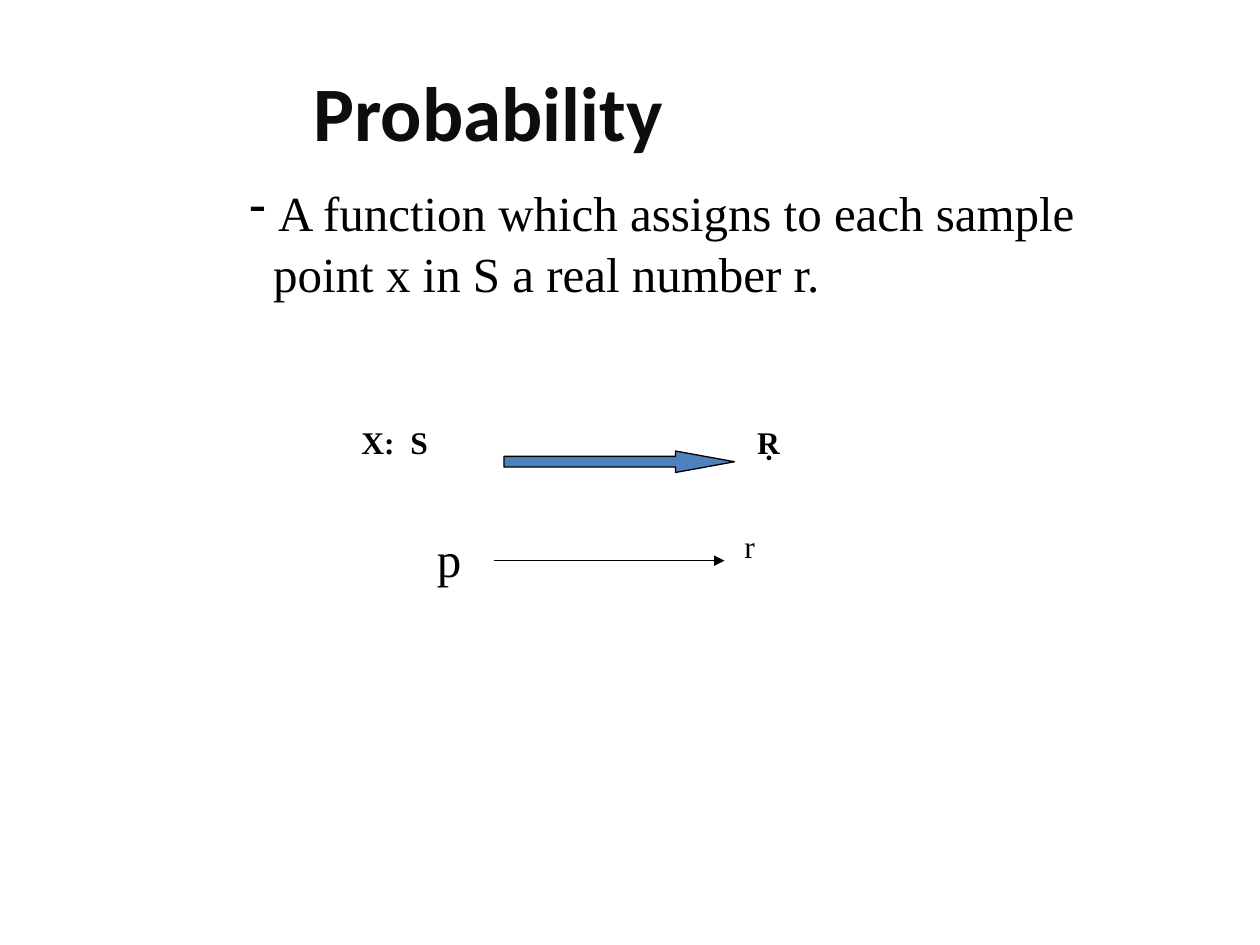
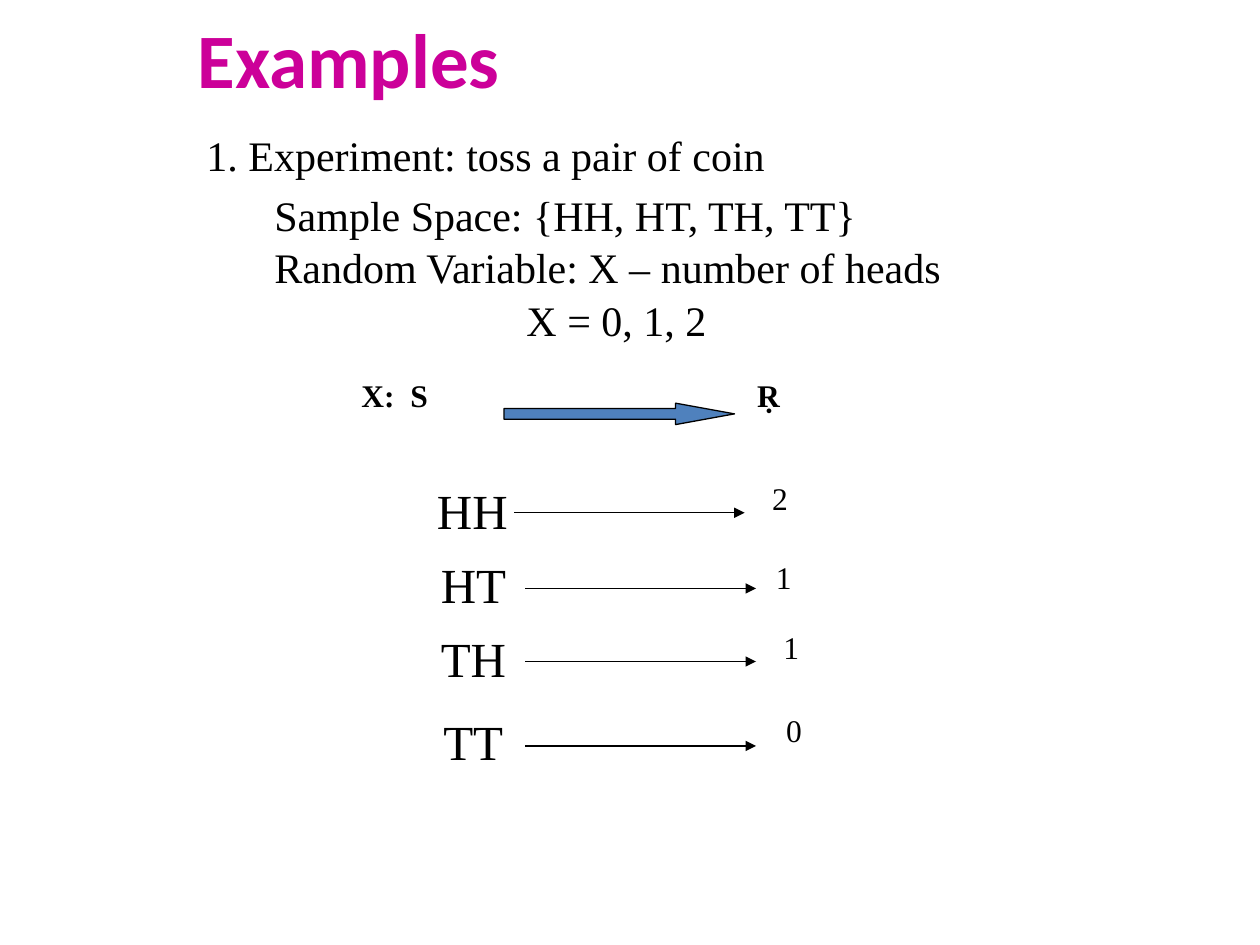
"""Build two slides on random variables as mappings from samples to numbers."""
from dataclasses import dataclass
from lxml import etree
from pptx import Presentation
from pptx.dml.color import RGBColor
from pptx.enum.shapes import MSO_CONNECTOR, MSO_SHAPE
from pptx.enum.text import MSO_ANCHOR
from pptx.oxml.ns import qn
from pptx.util import Inches, Pt

STRAIGHT = MSO_CONNECTOR.STRAIGHT
RIGHT_ARROW = MSO_SHAPE.RIGHT_ARROW
TOP, MIDDLE = MSO_ANCHOR.TOP, MSO_ANCHOR.MIDDLE


@dataclass(frozen=True)
class Theme:
    heading_font: str = "Calibri"
    body_font: str = "Times New Roman"
    ink: str = "000000"
    heading_dark: str = "0D0D0D"
    heading_pink: str = "CC0099"
    arrow_fill: str = "4F81BD"
    heading_size: int = 44
    large: int = 28
    medium: int = 24
    small: int = 18
    line_width: float = 0.75
    line_spacing: float = 1.04


THEME = Theme()
ARROW_LENGTH = 1.83
HEADING_INDENT = 0.97
VALUE_INDENT = 0.06

# Paragraphs: (text, left margin, bullet)
# Mapping rows: (sample, left, top, arrow left, arrow y, value, left, top)
SLIDES = [
    {
        "heading": ("Probability", 1.42, 0.42, THEME.heading_dark),
        "texts": [
            (1.88, 1.38, 7.35, 1.03, THEME.large, [
                ("A function which assigns to each sample", 0.23, "-"),
                ("point x in S a real number r.", 0.19, None),
            ]),
        ],
        "mapping_top": 3.3,
        "rows": [("p", 3.37, 4.13, 3.92, 4.45, "r", 5.75, 4.12)],
    },
    {
        "heading": ("Examples", 0.5, 0, THEME.heading_pink),
        "texts": [
            (1.54, 0.96, 5.06, 0.5, THEME.medium, [
                ("1. Experiment: toss a pair of coin", 0, None),
            ]),
            (2.08, 1.44, 6.06, 1.3, THEME.medium, [
                ("Sample Space: {HH, HT, TH, TT}", 0, None),
                ("Random Variable: X – number of heads", 0, None),
                ("X = 0, 1, 2", 2, None),
            ]),
        ],
        "mapping_top": 2.92,
        "rows": [
            ("HH", 3.37, 3.75, 4.08, 4.07, "2", 5.97, 3.74),
            ("HT", 3.4, 4.33, 4.17, 4.67, "1", 6, 4.37),
            ("TH", 3.4, 4.92, 4.17, 5.25, "1", 6.06, 4.92),
            ("TT", 3.42, 5.58, 4.17, 5.92, "0", 6.08, 5.58),
        ],
    },
]


def add_text(page, left, top, width, height, size, paragraphs, bold=False,
             font=THEME.body_font, color=THEME.ink, anchor=TOP,
             spacing=THEME.line_spacing):
    box = page.shapes.add_textbox(*map(Inches, (left, top, width, height)))
    frame = box.text_frame
    frame.word_wrap = True
    frame.margin_right = 0
    frame.vertical_anchor = anchor
    for index, (text, margin, bullet) in enumerate(paragraphs):
        para = frame.paragraphs[0] if index == 0 else frame.add_paragraph()
        para.text = text
        para.line_spacing = spacing
        para.font.name = font
        para.font.size = Pt(size)
        para.font.bold = bold
        para.font.color.rgb = RGBColor.from_string(color)
        properties = para._p.get_or_add_pPr()
        properties.set("marL", str(Inches(margin)))
        properties.set("indent", str(-Inches(margin) if bullet else 0))
        if bullet:
            mark = etree.Element(qn("a:buChar"), char=bullet)
            properties.find(qn("a:lnSpc")).addnext(mark)


def style_line(line):
    line.color.rgb = RGBColor.from_string(THEME.ink)
    line.width = Pt(THEME.line_width)


def add_block_arrow(page, left, top):
    arrow = page.shapes.add_shape(
        RIGHT_ARROW, *map(Inches, (left, top, ARROW_LENGTH, 0.17)))
    arrow.adjustments[0] = 0.5
    arrow.adjustments[1] = 2.75
    arrow.shadow.inherit = False
    arrow.fill.solid()
    arrow.fill.fore_color.rgb = RGBColor.from_string(THEME.arrow_fill)
    style_line(arrow.line)


def add_thin_arrow(page, left, y):
    arrow = page.shapes.add_connector(
        STRAIGHT, *map(Inches, (left, y, left + ARROW_LENGTH, y)))
    style_line(arrow.line)
    etree.SubElement(arrow.line._get_or_add_ln(), qn("a:tailEnd"), type="triangle")
    etree.SubElement(arrow._element.spPr, qn("a:effectLst"))


def add_mapping(page, top, rows):
    for label, left, width in (("X:  S", 2.77, 1.19), ("Ṛ", 5.91, 0.52)):
        add_text(page, left, top, width, 0.63, THEME.small,
                 [(label, 0, None)], bold=True)
    add_block_arrow(page, 4, top + 0.28)
    for sample, left, row_top, arrow_left, arrow_y, value, value_left, value_top in rows:
        add_text(page, left, row_top, 0.76, 0.57, THEME.large, [(sample, 0, None)])
        add_thin_arrow(page, arrow_left, arrow_y)
        add_text(page, value_left, value_top, 0.69, 0.63, THEME.small,
                 [(value, VALUE_INDENT, None)])


def main():
    deck = Presentation()
    deck.slide_width, deck.slide_height = Inches(10), Inches(7.5)
    for content in SLIDES:
        page = deck.slides.add_slide(deck.slide_layouts[6])
        heading, left, top, color = content["heading"]
        add_text(page, left, top, 9.17, 0.92, THEME.heading_size,
                 [(heading, HEADING_INDENT, None)], bold=True,
                 font=THEME.heading_font, color=color, anchor=MIDDLE, spacing=1)
        for text in content["texts"]:
            add_text(page, *text)
        add_mapping(page, content["mapping_top"], content["rows"])
    deck.save("out.pptx")


if __name__ == "__main__":
    main()
